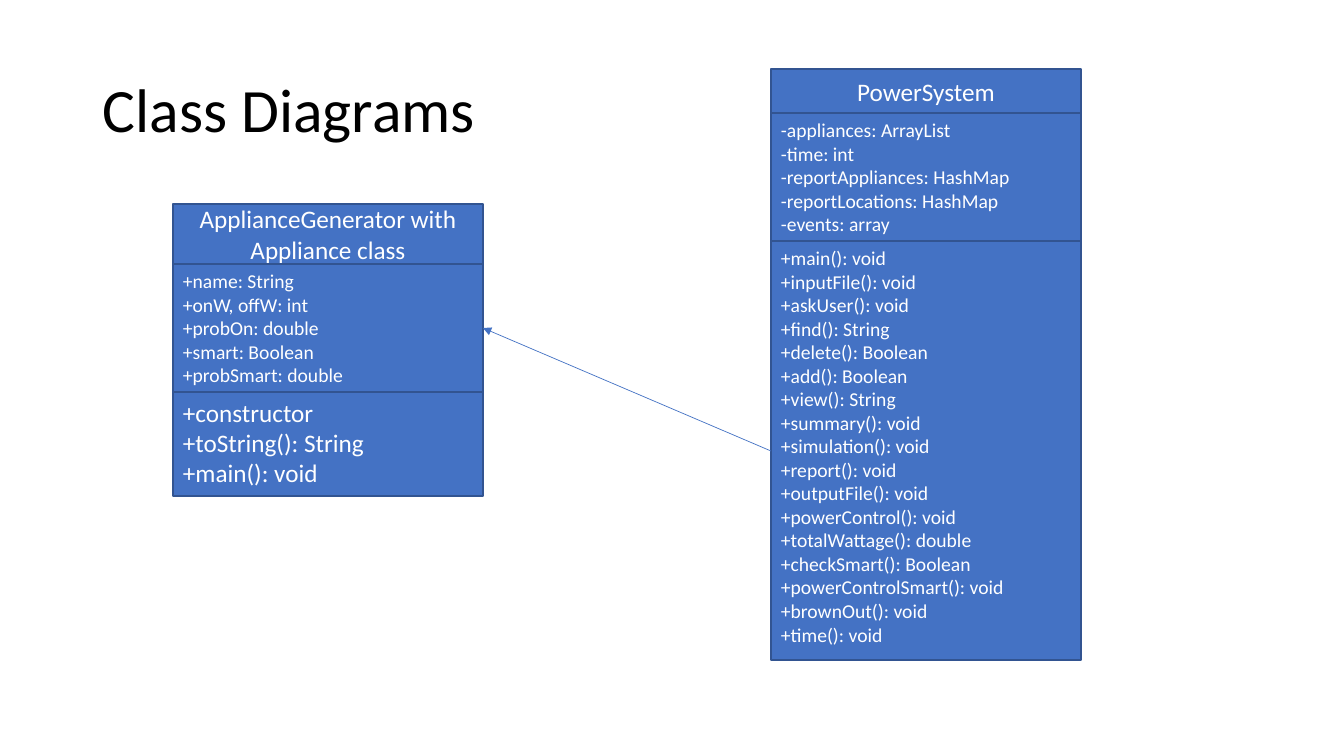
from pptx import Presentation
from pptx.dml.color import RGBColor
from pptx.enum.shapes import MSO_CONNECTOR, MSO_SHAPE
from pptx.enum.text import MSO_ANCHOR, PP_ALIGN
from pptx.oxml.ns import qn
from pptx.util import Pt
from lxml import etree

RECTANGLE = MSO_SHAPE.RECTANGLE
STRAIGHT = MSO_CONNECTOR.STRAIGHT
TOP, MIDDLE = MSO_ANCHOR.TOP, MSO_ANCHOR.MIDDLE
LEFT, CENTER = PP_ALIGN.LEFT, PP_ALIGN.CENTER

SCALE = 914400 / 100.8
FONT = "Calibri"
COLORS = {"title": "000000", "fill": "4472C4", "border": "325491", "text": "FFFFFF"}
CLASS_WIDTH = 310


def px(pixels):
    return round(pixels * SCALE)


def write(box, lines, size, color, anchor, align, spacing=1.0):
    frame = box.text_frame
    frame.word_wrap = True
    frame.vertical_anchor = anchor
    for index, line in enumerate(lines):
        para = frame.add_paragraph() if index else frame.paragraphs[0]
        para.alignment = align
        para.line_spacing = spacing
        span = para.add_run()
        span.text = line
        span.font.name = FONT
        span.font.size = Pt(size)
        span.font.color.rgb = RGBColor.from_string(COLORS[color])


deck = Presentation()
deck.slide_width, deck.slide_height = px(1344), px(756)
page = deck.slides.add_slide(deck.slide_layouts[6])

# Title
title = page.shapes.add_textbox(px(93), px(40), px(1159), px(146))
write(title, ["Class Diagrams"], 44, "title", MIDDLE, LEFT, 0.9)

# Classes: left, top, then compartments as (height, text size, lines)
classes = [
    (771, 69, [
        (44, 18, ["PowerSystem"]),
        (128, 14, ["-appliances: ArrayList", "-time: int", "-reportAppliances: HashMap",
                   "-reportLocations: HashMap", "-events: array"]),
        (419, 14, ["+main(): void", "+inputFile(): void", "+askUser(): void",
                   "+find(): String", "+delete(): Boolean", "+add(): Boolean",
                   "+view(): String", "+summary(): void", "+simulation(): void",
                   "+report(): void", "+outputFile(): void", "+powerControl(): void",
                   "+totalWattage(): double", "+checkSmart(): Boolean",
                   "+powerControlSmart(): void", "+brownOut(): void", "+time(): void"]),
    ]),
    (173, 204, [
        (60, 18, ["ApplianceGenerator with Appliance class"]),
        (128, 14, ["+name: String", "+onW, offW: int", "+probOn: double",
                   "+smart: Boolean", "+probSmart: double"]),
        (104, 18, ["+constructor", "+toString(): String", "+main(): void"]),
    ]),
]
for left, top, compartments in classes:
    for index, (height, size, lines) in enumerate(compartments):
        box = page.shapes.add_shape(RECTANGLE, px(left), px(top), px(CLASS_WIDTH), px(height))
        box.shadow.inherit = False
        box.fill.solid()
        box.fill.fore_color.rgb = RGBColor.from_string(COLORS["fill"])
        box.line.color.rgb = RGBColor.from_string(COLORS["border"])
        box.line.width = Pt(1)
        anchor, align = (TOP, LEFT) if index else (MIDDLE, CENTER)
        write(box, lines, size, "text", anchor, align)
        top += height

# Arrow from PowerSystem to ApplianceGenerator
arrow = page.shapes.add_connector(STRAIGHT, px(771), px(451), px(483), px(328))
arrow.line.color.rgb = RGBColor.from_string(COLORS["fill"])
arrow.line.width = Pt(0.5)
etree.SubElement(arrow.line._get_or_add_ln(), qn("a:tailEnd"), type="triangle")
etree.SubElement(arrow._element.spPr, qn("a:effectLst"))

deck.save("out.pptx")
